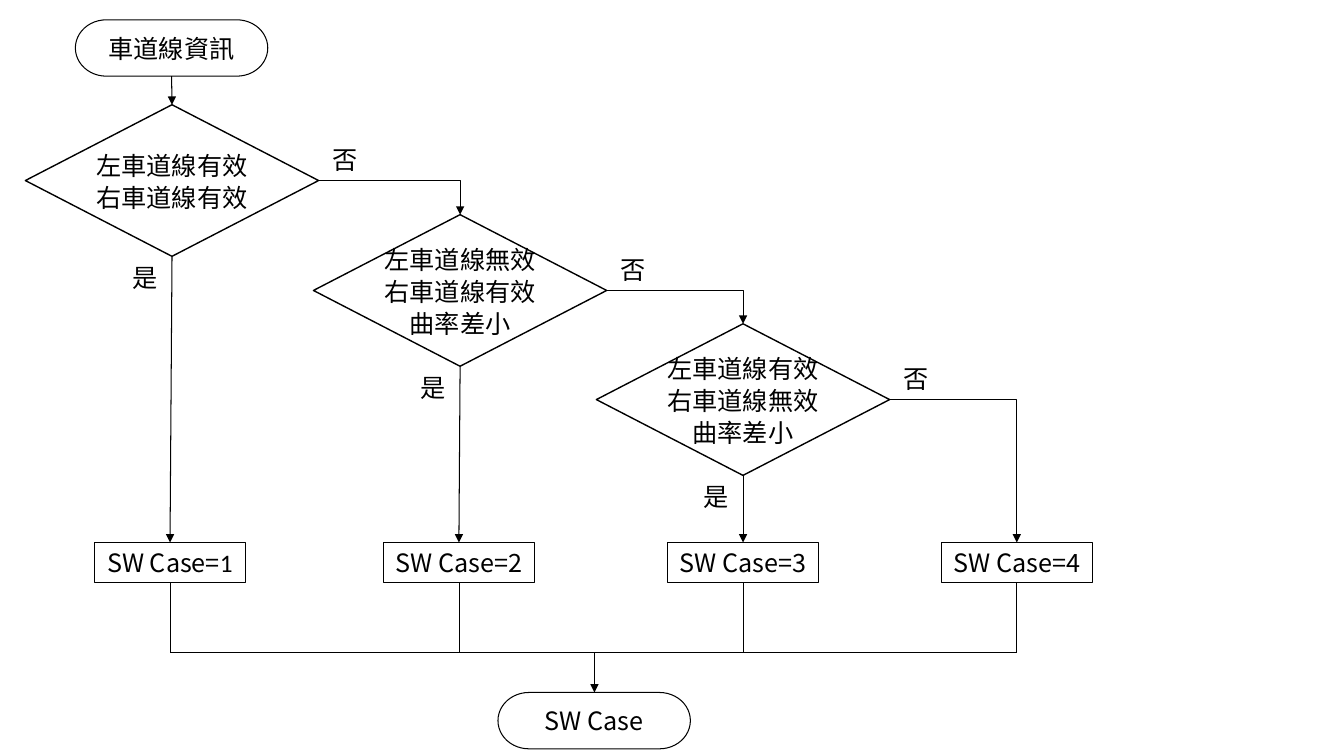
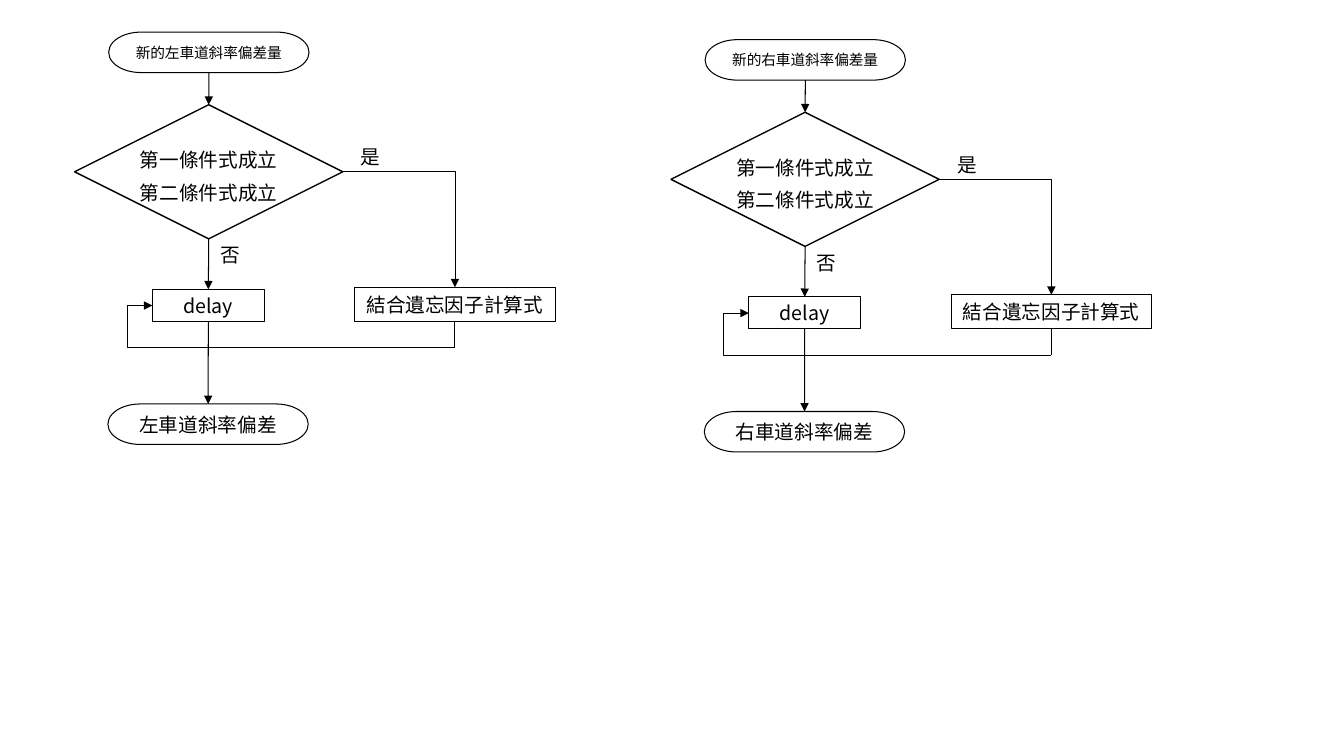
"""Build two flowchart slides on lane line cases and lane slope deviation."""
from pptx import Presentation
from pptx.dml.color import RGBColor
from pptx.enum.shapes import MSO_CONNECTOR, MSO_SHAPE as Preset
from pptx.enum.text import MSO_ANCHOR, PP_ALIGN
from pptx.oxml.ns import qn
from pptx.util import Cm, Pt
from lxml.etree import SubElement

BLACK = RGBColor(0, 0, 0)
LATIN, CJK = "Calibri", "Noto Sans CJK SC"
TOP, LEFT, BOTTOM, RIGHT = range(4)
TERMINATOR = Preset.FLOWCHART_TERMINATOR
DECISION = Preset.FLOWCHART_DECISION
PROCESS = Preset.FLOWCHART_PROCESS


def add_node(page, preset, text, place, size, font=CJK):
    place = [Cm(length) for length in place]
    if preset is None:
        node = page.shapes.add_textbox(*place)
    else:
        node = page.shapes.add_shape(preset, *place)
        node.shadow.inherit = False
        node.fill.background()
        node.line.color.rgb = BLACK
        node.line.width = Pt(1 if preset == DECISION else 0.75)
    frame = node.text_frame
    frame.text = text
    frame.word_wrap = False
    frame.vertical_anchor = MSO_ANCHOR.MIDDLE
    frame.margin_left = frame.margin_right = frame.margin_top = frame.margin_bottom = 0
    for para in frame.paragraphs:
        para.alignment = PP_ALIGN.CENTER
        if len(frame.paragraphs) > 1:
            para.line_spacing = Pt(23)
        for span in para.runs:
            span.font.size, span.font.name = Pt(size), font
            span.font.color.rgb = BLACK
    return node


def add_link(page, start, end, sites=None, width=0.75, arrow=True, bend="line", reach=None):
    points = (0, 0, 0, 0) if sites else [Cm(length) for length in (*start, *end)]
    link = page.shapes.add_connector(MSO_CONNECTOR.STRAIGHT, *points)
    if sites:
        link.begin_connect(start, sites[0])
        link.end_connect(end, sites[1])
    link.line.color.rgb = BLACK
    link.line.width = Pt(width)
    properties = link.element.spPr
    geometry = properties.find(qn("a:prstGeom"))
    geometry.set("prst", bend)
    if reach is not None:
        guide = SubElement(geometry.find(qn("a:avLst")), qn("a:gd"))
        guide.set("name", "adj1")
        guide.set("fmla", f"val {round(reach * 100000)}")
    if arrow:
        SubElement(properties.find(qn("a:ln")), qn("a:tailEnd")).set("type", "triangle")
    SubElement(properties, qn("a:effectLst"))


deck = Presentation()
deck.slide_width, deck.slide_height = Cm(33.87), Cm(19.05)
blank = deck.slide_layouts[6]

page = deck.slides.add_slide(blank)
source = add_node(page, TERMINATOR, "車道線資訊", (1.9, 0.5, 4.85, 1.42), 18, LATIN)
decisions = []
for text, left, top in [
    ("左車道線有效\n右車道線有效", 0.64, 2.64),
    ("左車道線無效\n右車道線有效\n曲率差小", 7.9, 5.41),
    ("左車道線有效\n右車道線無效\n曲率差小", 15.03, 8.16),
]:
    decisions.append(add_node(page, DECISION, text, (left, top, 7.39, 3.82), 18, LATIN))
    add_node(page, None, "是", (left + 2.33, top + 3.84, 1.37, 1.02), 18, LATIN)
    add_node(page, None, "否", (left + 7.37, top + 0.87, 1.37, 1.02), 18, LATIN)

case_lefts, case_width, rail = (2.38, 9.66, 16.82, 23.72), 3.81, 16.45
cases = []
for number, left in enumerate(case_lefts, 1):
    place = (left, 13.67, case_width, 1.02)
    cases.append(add_node(page, PROCESS, f"SW Case={number}", place, 18))
    middle = left + case_width / 2
    add_link(page, (middle, 14.69), (middle, rail), width=0.5, arrow=False)

first_case = cases[0].text_frame.paragraphs[0]
first_case.runs[0].text = "SW Case="
digit = first_case.add_run()
digit.text = "1"
digit.font.size, digit.font.name = Pt(18), LATIN
digit.font.color.rgb = BLACK

add_link(page, source, decisions[0], (BOTTOM, TOP))
for decision, case, following in zip(decisions, cases, decisions[1:] + cases[-1:]):
    add_link(page, decision, case, (BOTTOM, TOP))
    add_link(page, decision, following, (RIGHT, TOP), bend="bentConnector2")
rail_start, rail_end = (case_lefts[i] + case_width / 2 for i in (0, -1))
add_link(page, (rail_start, rail), (rail_end, rail), width=0.5, arrow=False)
add_link(page, (14.98, rail), (14.98, 17.45), width=0.5)
add_node(page, TERMINATOR, "SW Case", (12.55, 17.45, 4.85, 1.42), 18)

page = deck.slides.add_slide(blank)
for side, x, y in [("左", 0, 0), ("右", 15.03, 0.19)]:
    source = add_node(page, TERMINATOR, f"新的{side}車道斜率偏差量",
                      (x + 2.74, y + 0.81, 5.05, 1.02), 10.5)
    decision = add_node(page, DECISION, "第一條件式成立\n第二條件式成立",
                        (x + 1.88, y + 2.64, 6.76, 3.38), 14)
    formula = add_node(page, PROCESS, "結合遺忘因子計算式",
                       (x + 8.94, y + 7.24, 5.05, 0.86), 14)
    delay = add_node(page, PROCESS, "delay", (x + 3.84, y + 7.29, 2.82, 0.81), 14)
    result = add_node(page, TERMINATOR, f"{side}車道斜率偏差",
                      (x + 2.72, y + 10.18, 5.05, 1.02), 14)
    add_node(page, None, "是", (x + 8.66, y + 3.53, 1.37, 0.86), 14, LATIN)
    add_node(page, None, "否", (x + 5.11, y + 5.99, 1.37, 0.86), 14, LATIN)

    add_link(page, source, decision, (BOTTOM, TOP))
    add_link(page, decision, delay, (BOTTOM, TOP))
    add_link(page, decision, formula, (RIGHT, TOP), width=0.5, bend="bentConnector2")
    add_link(page, delay, result, (BOTTOM, TOP))
    joint, corner = (x + 5.25, y + 8.76), (x + 11.46, y + 8.76)
    add_link(page, (x + 11.46, y + 8.1), corner, width=0.5, arrow=False)
    add_link(page, corner, joint, width=0.5, arrow=False)
    add_link(page, joint, (x + 3.84, y + 7.7), width=0.5, bend="bentConnector3", reach=1.45)

deck.save("out.pptx")
